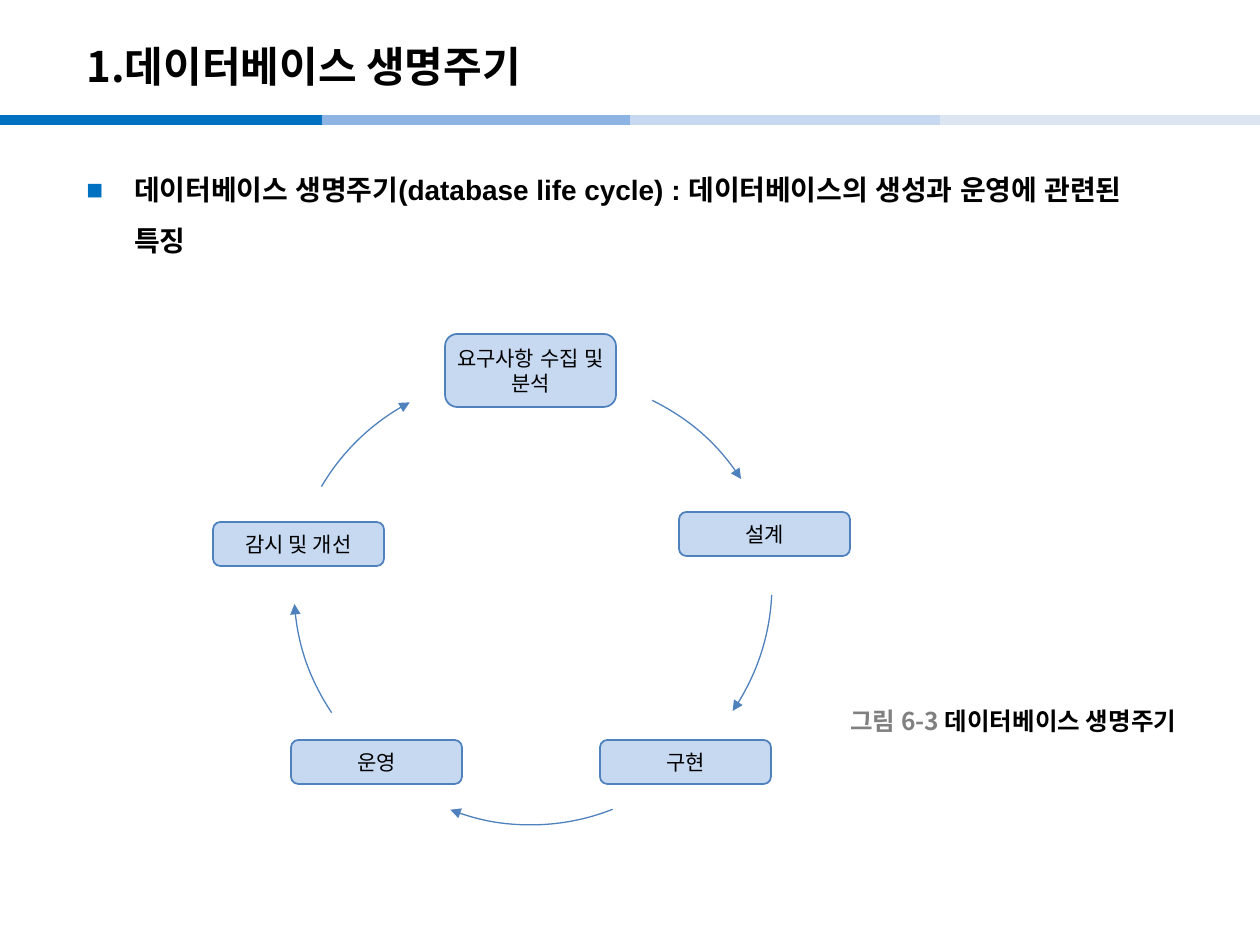
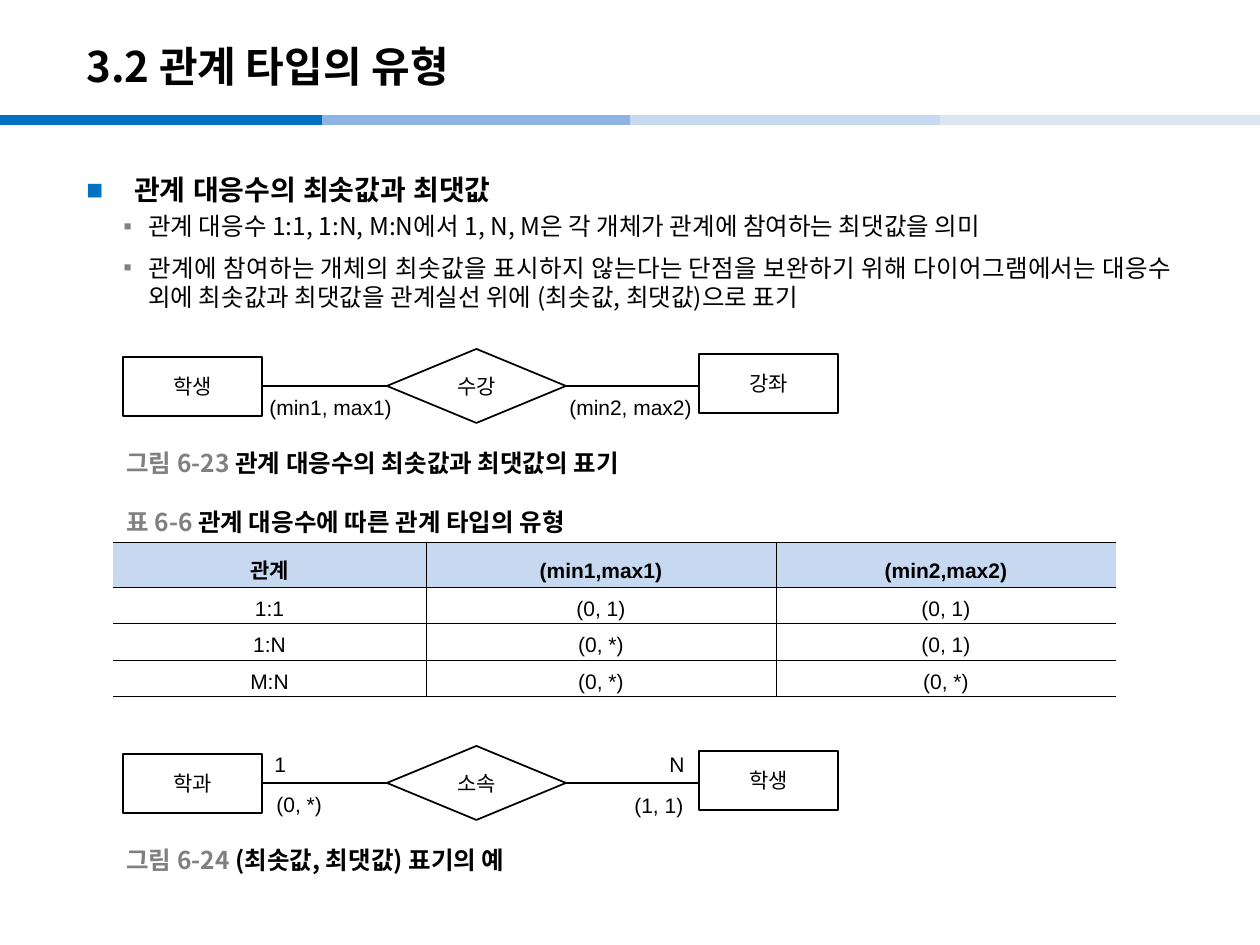
from itertools import pairwise

from lxml import etree
from pptx import Presentation
from pptx.dml.color import RGBColor
from pptx.enum.shapes import MSO_CONNECTOR, MSO_SHAPE
from pptx.enum.text import MSO_ANCHOR, PP_ALIGN
from pptx.oxml.ns import qn
from pptx.util import Emu, Pt

PX = 914400 / 126
STRAIGHT = MSO_CONNECTOR.STRAIGHT
ARC = MSO_SHAPE.ARC
RECTANGLE = MSO_SHAPE.RECTANGLE
ROUNDED = MSO_SHAPE.ROUNDED_RECTANGLE
DECISION = MSO_SHAPE.FLOWCHART_DECISION
TOP, MIDDLE = MSO_ANCHOR.TOP, MSO_ANCHOR.MIDDLE
LEFT, CENTER, JUSTIFY = PP_ALIGN.LEFT, PP_ALIGN.CENTER, PP_ALIGN.JUSTIFY

ARIAL = "Arial"
NOTO = "Noto Sans CJK KR"
COLORS = {
    "text": "000000",
    "muted": "808080",
    "paper": "FFFFFF",
    "accent": "0070C0",
    "band_2": "8EB4E3",
    "pale": "C6D9F1",
    "band_4": "DCE6F2",
    "outline": "4F81BD",
}
BAND_EDGES = (0, 322, 630, 940, 1260)
BAND_COLORS = ("accent", "band_2", "pale", "band_4")

STAGES = [
    ("요구사항 수집 및 분석", 445, 334, 73, ARIAL),
    ("설계", 679, 512, 44, NOTO),
    ("구현", 600, 740, 44, NOTO),
    ("운영", 291, 740, 44, NOTO),
    ("감시 및 개선", 213, 522, 44, NOTO),
]
# Left and top of each arrow's circle, then its start and end in degrees
CYCLE_ARCS = [
    (333, 378, 296, 327),
    (328, 363, 2.6, 34.6),
    (309, 381, 68.4, 111.3),
    (294, 367, 146.1, 176.1),
    (291, 377, 210.4, 242.3),
]
CYCLE_DIAMETER = 444
RELATION_ROWS = [
    ("관계", "(min1,max1)", "(min2,max2)"),
    ("1:1", "(0, 1)", "(0, 1)"),
    ("1:N", "(0, *)", "(0, 1)"),
    ("M:N", "(0, *)", "(0, *)"),
]


def px(value):
    return Emu(round(value * PX))


def rgb(name):
    return RGBColor.from_string(COLORS[name])


def style(paragraph, size, font=NOTO, bold=False, align=LEFT):
    """Set the font for Latin and Korean letters alike."""
    paragraph.alignment = align
    paragraph.font.size = Pt(size)
    paragraph.font.bold = bold
    paragraph.font.color.rgb = rgb("text")
    paragraph.font.name = font
    defaults = paragraph._p.pPr.find(qn("a:defRPr"))
    etree.SubElement(defaults, qn("a:ea"), typeface=font)


def add_bullet(paragraph, mark, color, margin, hanging):
    props = paragraph._p.get_or_add_pPr()
    props.set("marL", str(px(margin)))
    props.set("indent", str(-px(hanging)))
    tint = etree.SubElement(props, qn("a:buClr"))
    etree.SubElement(tint, qn("a:srgbClr"), val=COLORS[color])
    etree.SubElement(props, qn("a:buFont"), typeface=ARIAL)
    etree.SubElement(props, qn("a:buChar"), char=mark)


def add_text_frame(slide, left, top, width, height, anchor=TOP, wrap=True):
    frame = slide.shapes.add_textbox(px(left), px(top), px(width), px(height)).text_frame
    frame.word_wrap = wrap
    frame.vertical_anchor = anchor
    return frame


def add_line(slide, start, end, color, width):
    line = slide.shapes.add_connector(STRAIGHT, *(px(v) for v in (*start, *end)))
    line.line.color.rgb = rgb(color)
    line.line.width = Pt(width)
    etree.SubElement(line._element.spPr, qn("a:effectLst"))


def add_node(slide, kind, box, text, fill="paper", outline="text", font=NOTO):
    node = slide.shapes.add_shape(kind, *(px(v) for v in box))
    node.shadow.inherit = False
    node.fill.solid()
    node.fill.fore_color.rgb = rgb(fill)
    node.line.color.rgb = rgb(outline)
    node.line.width = Pt(1)
    frame = node.text_frame
    frame.word_wrap = True
    frame.vertical_anchor = MIDDLE
    frame.margin_left = frame.margin_right = px(5)
    frame.margin_top = frame.margin_bottom = px(6)
    frame.text = text
    style(frame.paragraphs[0], 12, font, align=CENTER)


def add_curved_arrow(slide, left, top, start, end):
    """Draw a clockwise arc, angles in degrees, with an arrowhead at its end."""
    arrow = slide.shapes.add_shape(ARC, px(left), px(top),
                                   px(CYCLE_DIAMETER), px(CYCLE_DIAMETER))
    for index, degrees in enumerate((start, end)):
        arrow.adjustments[index] = degrees * 0.6
    arrow.shadow.inherit = False
    arrow.fill.background()
    arrow.line.color.rgb = rgb("outline")
    arrow.line.width = Pt(0.75)
    etree.SubElement(arrow.line._get_or_add_ln(), qn("a:tailEnd"), type="triangle")


def add_caption(slide, left, top, width, number, text):
    paragraph = add_text_frame(slide, left, top, width, 39, MIDDLE).paragraphs[0]
    style(paragraph, 14, bold=True)
    label = paragraph.add_run()
    label.text = number + " "
    label.font.color.rgb = rgb("muted")
    paragraph.add_run().text = text


def add_label(slide, left, top, width, text):
    frame = add_text_frame(slide, left, top, width, 38, wrap=False)
    frame.text = text
    style(frame.paragraphs[0], 12, ARIAL)


def add_page(deck, title, heading, points=()):
    """Add a slide with its colour band, title and bulleted body."""
    slide = deck.slides.add_slide(deck.slide_layouts[6])
    for (start, end), color in zip(pairwise(BAND_EDGES), BAND_COLORS):
        add_line(slide, (start, 120), (end, 120), color, 6)
    title_frame = add_text_frame(slide, 74, 28, 1042, 76, MIDDLE)
    title_frame.text = title
    style(title_frame.paragraphs[0], 24, bold=True)

    body = add_text_frame(slide, 74, 150, 1111, 753)
    body.text = "\n".join((heading, *points))
    first, *details = body.paragraphs
    add_bullet(first, "■", "accent", 48, 48)
    first.line_spacing = 1.5
    style(first, 16, ARIAL, bold=True)
    for detail in details:
        add_bullet(detail, "▪", "muted", 62, 25)
        detail.space_before = Pt(2.8)
        detail.space_after = Pt(4)
        style(detail, 14, align=JUSTIFY)
    return slide


def add_relationship(slide, axis, left_entity, relation, right_entity):
    """Draw two entities joined through a relation along a horizontal axis."""
    add_line(slide, (263, axis), (699, axis), "text", 0.75)
    add_node(slide, DECISION, (387, axis - 37, 179, 74), relation)
    add_node(slide, RECTANGLE, (123, axis - 29, 139, 59), left_entity)
    add_node(slide, RECTANGLE, (699, axis - 32, 139, 59), right_entity)


def set_borders(cell, visible):
    props = cell._tc.get_or_add_tcPr()
    for index, side in enumerate("LRTB"):
        edge = etree.Element(qn(f"a:ln{side}"), w=str(Pt(0.28)))
        if side in visible:
            paint = etree.SubElement(edge, qn("a:solidFill"))
            etree.SubElement(paint, qn("a:srgbClr"), val=COLORS["text"])
        else:
            etree.SubElement(edge, qn("a:noFill"))
        props.insert(index, edge)


def add_relation_table(slide):
    widths, heights = (313, 350, 340), (45, 36, 37, 36)
    table = slide.shapes.add_table(len(heights), len(widths), px(113), px(542),
                                   px(sum(widths)), px(sum(heights))).table
    table.first_row = table.horz_banding = False
    for column, width in zip(table.columns, widths):
        column.width = px(width)
    for row, height, texts in zip(table.rows, heights, RELATION_ROWS):
        row.height = px(height)
        header = texts is RELATION_ROWS[0]
        for cell, text, sides in zip(row.cells, texts, ("RTB", "LRTB", "LTB")):
            cell.text = text
            cell.vertical_anchor = MIDDLE
            cell.margin_left = cell.margin_right = px(9)
            cell.margin_top = cell.margin_bottom = px(2)
            cell.fill.solid()
            cell.fill.fore_color.rgb = rgb("pale" if header else "paper")
            set_borders(cell, sides)
            paragraph = cell.text_frame.paragraphs[0]
            paragraph.line_spacing = 1.6 if header else Pt(18)
            style(paragraph, 12, ARIAL, bold=header, align=CENTER)


def build_life_cycle(deck):
    slide = add_page(
        deck, "1.데이터베이스 생명주기",
        "데이터베이스 생명주기(database life cycle) : 데이터베이스의 생성과 운영에 관련된 특징")
    add_caption(slide, 838, 701, 400, "그림 6-3", "데이터베이스 생명주기")
    for (text, left, top, height, font), arc in zip(STAGES, CYCLE_ARCS):
        add_node(slide, ROUNDED, (left, top, 171, height), text, "pale", "outline", font)
        add_curved_arrow(slide, *arc)


def build_relation_types(deck):
    slide = add_page(
        deck, "3.2 관계 타입의 유형", "관계 대응수의 최솟값과 최댓값",
        ("관계 대응수 1:1, 1:N, M:N에서 1, N, M은 각 개체가 관계에 참여하는 최댓값을 의미",
         "관계에 참여하는 개체의 최솟값을 표시하지 않는다는 단점을 보완하기 위해 "
         "다이어그램에서는 대응수 외에 최솟값과 최댓값을 관계실선 위에 (최솟값, 최댓값)으로 표기"))
    add_relationship(slide, 386, "학생", "수강", "강좌")
    add_label(slide, 257, 388, 150, "(min1, max1)")
    add_label(slide, 557, 388, 150, "(min2, max2)")
    add_caption(slide, 114, 443, 560, "그림 6-23", "관계 대응수의 최솟값과 최댓값의 표기")

    add_caption(slide, 114, 502, 560, "표 6-6", "관계 대응수에 따른 관계 타입의 유형")
    add_relation_table(slide)

    add_relationship(slide, 783, "학과", "소속", "학생")
    add_label(slide, 262, 745, 37, "1")
    add_label(slide, 657, 745, 42, "N")
    add_label(slide, 264, 785, 71, "(0, *)")
    add_label(slide, 622, 786, 74, "(1, 1)")
    add_caption(slide, 114, 840, 560, "그림 6-24", "(최솟값, 최댓값) 표기의 예")


def main():
    deck = Presentation()
    deck.slide_width, deck.slide_height = px(1260), px(945)
    build_life_cycle(deck)
    build_relation_types(deck)
    deck.save("out.pptx")


if __name__ == "__main__":
    main()
